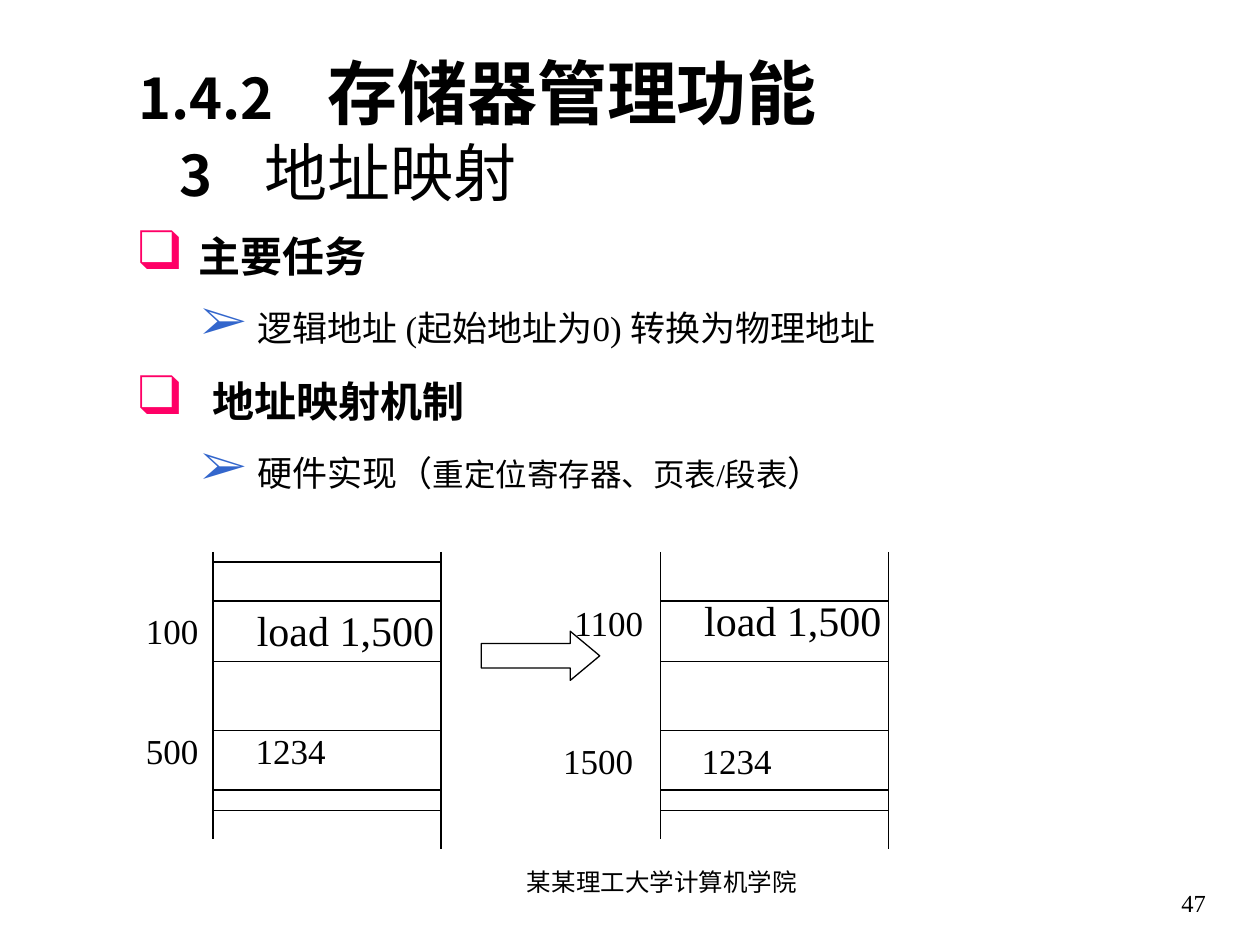
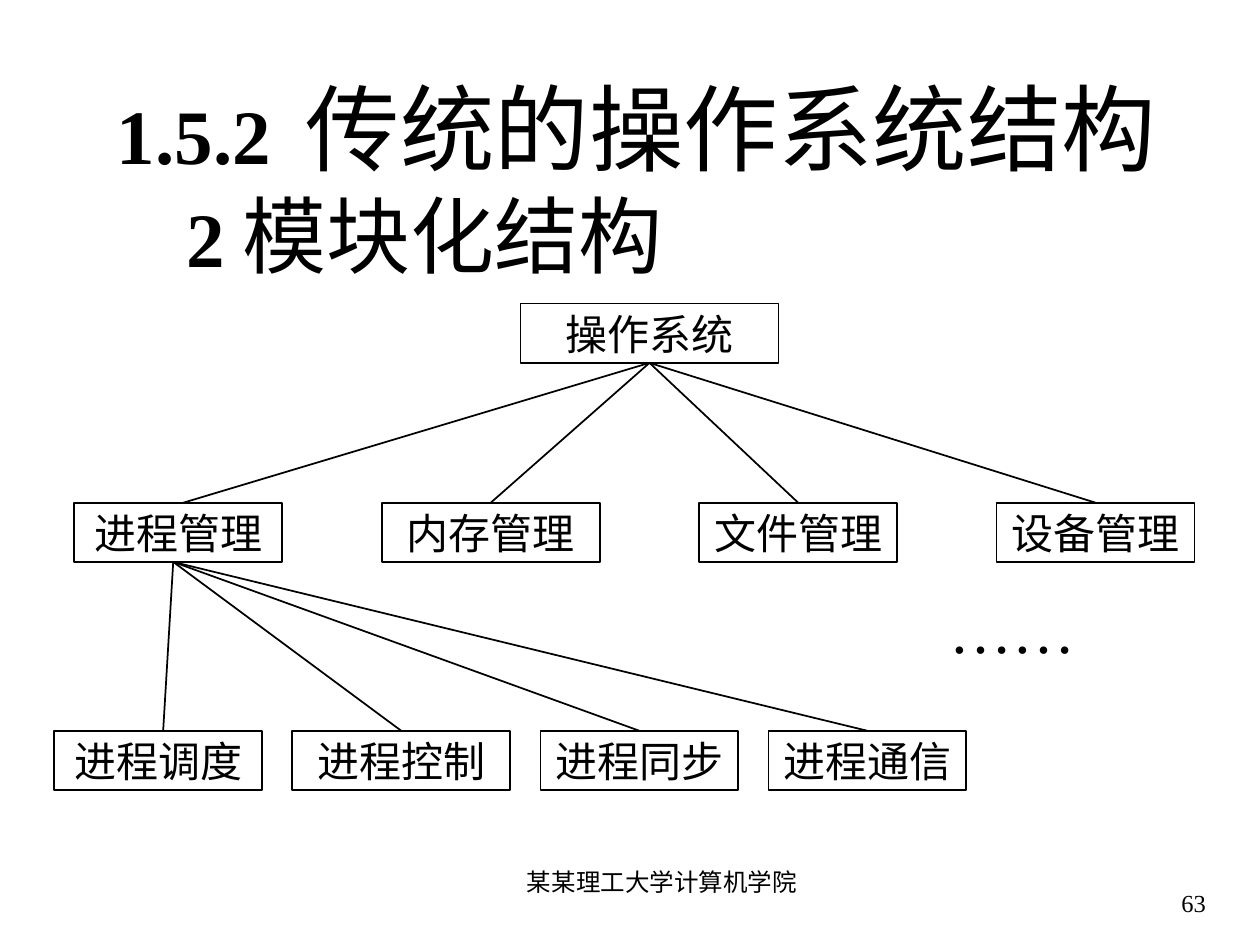
import pptx
import pptx.util
import pptx.dml.color
import pptx.enum.shapes
import pptx.enum.text
import pptx.oxml.ns
from lxml import etree

Inches = pptx.util.Inches
Pt = pptx.util.Pt
Shape = pptx.enum.shapes.MSO_SHAPE
Align = pptx.enum.text.PP_ALIGN
Anchor = pptx.enum.text.MSO_ANCHOR
qn = pptx.oxml.ns.qn

COLORS = {"ink": "000000", "box": "FF0066", "arrow": "3366CC"}
SERIF = "Times New Roman"
SANS = "Noto Sans CJK SC"
FOOTER = "某某理工大学计算机学院"


def color(name):
    return pptx.dml.color.RGBColor.from_string(COLORS[name])


def add_run(para, text, size, bold=False, font=SERIF, asian=SANS):
    run = para.add_run()
    run.text = text
    run.font.size = Pt(size)
    run.font.bold = bold
    run.font.name = font
    run.font.color.rgb = color("ink")
    props = run._r.get_or_add_rPr()
    latin = props.find(qn("a:latin"))
    east = etree.Element(qn("a:ea"), typeface=asian)
    latin.addnext(east)


def set_frame(frame, anchor, side, edge):
    frame.word_wrap = True
    frame.auto_size = pptx.enum.text.MSO_AUTO_SIZE.NONE
    frame.vertical_anchor = anchor
    frame.margin_left = frame.margin_right = Inches(side)
    frame.margin_top = frame.margin_bottom = Inches(edge)


def add_frame(slide, place, anchor=Anchor.TOP, edge=0.05):
    box = slide.shapes.add_textbox(*map(Inches, place))
    set_frame(box.text_frame, anchor, 0.1, edge)
    return box.text_frame


def add_label(slide, place, text, size, align=Align.LEFT,
              anchor=Anchor.TOP, edge=0, asian=SANS):
    para = add_frame(slide, place, anchor, edge).paragraphs[0]
    para.alignment = align
    add_run(para, text, size, asian=asian)


def next_para(frame, index):
    return frame.paragraphs[0] if index == 0 else frame.add_paragraph()


def set_indent(para, margin, first):
    props = para._p.get_or_add_pPr()
    props.set("marL", str(Inches(margin)))
    props.set("indent", str(Inches(first)))
    return props


def add_title(slide, place, anchor, rows, font):
    frame = add_frame(slide, place, anchor)
    for index, (first, stop, number, words) in enumerate(rows):
        para = next_para(frame, index)
        props = set_indent(para, 0, first)
        tabs = etree.SubElement(props, qn("a:tabLst"))
        etree.SubElement(tabs, qn("a:tab"), pos=str(Inches(stop)), algn="l")
        text, size = number
        add_run(para, text + "\t", size, True, font)
        add_run(para, *words, font=font)


def add_bullets(slide, place, items):
    frame = add_frame(slide, place)
    styles = [("❑", "box", 6, 32, 0), ("➢", "arrow", 5, 28, 0.5)]
    for index, (level, margin, runs) in enumerate(items):
        mark, tint, before, size, start = styles[level]
        para = next_para(frame, index)
        para.level = level
        para.space_before = Pt(before)
        props = set_indent(para, margin, start - margin)
        paint = etree.SubElement(props, qn("a:buClr"))
        etree.SubElement(paint, qn("a:srgbClr"), val=COLORS[tint])
        etree.SubElement(props, qn("a:buFont"), typeface=SERIF)
        etree.SubElement(props, qn("a:buChar"), char=mark)
        add_run(para, " ", size)
        for run in runs:
            add_run(para, *run)


def add_line(slide, start, end, width):
    line = slide.shapes.add_connector(
        pptx.enum.shapes.MSO_CONNECTOR.STRAIGHT, *map(Inches, start + end))
    line.line.color.rgb = color("ink")
    line.line.width = Pt(width)
    etree.SubElement(line._element.spPr, qn("a:effectLst"))
    return line


def add_shape(slide, kind, place, width):
    shape = slide.shapes.add_shape(kind, *map(Inches, place))
    shape.shadow.inherit = False
    shape.fill.background()
    shape.line.color.rgb = color("ink")
    shape.line.width = Pt(width)
    return shape


def add_node(slide, left, top, width, text):
    node = add_shape(slide, Shape.RECTANGLE, (left, top, width, 0.47), 1)
    set_frame(node.text_frame, Anchor.MIDDLE, 0.02, 0)
    para = node.text_frame.paragraphs[0]
    para.alignment = Align.CENTER
    add_run(para, text, 24)
    return node


def link(slide, upper, lower, leave=0, enter=0):
    start = ((upper.left + upper.width / 2) / Inches(1) + leave,
             (upper.top + upper.height) / Inches(1))
    end = ((lower.left + lower.width / 2) / Inches(1) + enter,
           lower.top / Inches(1))
    line = add_line(slide, start, end, 1)
    if not leave:
        line.begin_connect(upper, 2)
    if not enter:
        line.end_connect(lower, 0)


def add_memory(slide, left, rows):
    right = left + 1.81
    add_line(slide, (left, 4.38), (left, 6.66), 0.75)
    add_line(slide, (right, 4.38), (right, 6.74), 0.75)
    for y in rows:
        add_line(slide, (left, y), (right, y), 0.75)


def new_slide(deck, number):
    slide = deck.slides.add_slide(deck.slide_layouts[6])
    add_label(slide, (8.67, 6.83, 1, 0.5), number, 14,
              Align.RIGHT, Anchor.BOTTOM, 0.05)
    add_label(slide, (3.67, 6.83, 3.17, 0.5), FOOTER, 14,
              Align.CENTER, edge=0.05)
    return slide


def map_slide(deck):
    slide = new_slide(deck, "47")
    add_title(slide, (1, 0.92, 8.57, 0.79), Anchor.BOTTOM, [
        (0, 1.28, ("1.4.2", 32), ("存储器管理功能", 40, True)),
        (0.33, 0.81, ("3", 32), ("地址映射", 36))], SANS)
    add_bullets(slide, (1, 1.67, 8.33, 2.4), [
        (0, 0.38, [("主要任务", 24, True)]),
        (1, 0.81, [("逻辑地址 (起始地址为0) 转换为物理地址", 20)]),
        (0, 0.49, [("地址映射机制", 24, True)]),
        (1, 0.81, [("硬件实现（", 20), ("重定位寄存器、页表/段表", 18),
                   ("）", 20)])])
    rows = [4.77, 5.25, 5.8, 6.27, 6.43]
    add_memory(slide, 1.69, [4.46] + rows)
    add_memory(slide, 5.24, rows)
    arrow = add_shape(slide, Shape.RIGHT_ARROW, (3.82, 5.01, 0.94, 0.39), 0.75)
    arrow.adjustments[0] = 0.5
    arrow.adjustments[1] = 0.6
    for left, top, width, text in [
            (1.06, 4.84, 0.69, "100"), (1.06, 5.79, 0.69, "500"),
            (1.93, 5.79, 0.94, "1234"), (4.46, 4.77, 0.85, "1100"),
            (4.37, 5.87, 0.85, "1500"), (5.47, 5.87, 0.94, "1234")]:
        add_label(slide, (left, top, width, 0.33), text, 20)
    for left, top in [(1.94, 4.8), (5.49, 4.72)]:
        add_label(slide, (left, top, 1.7, 0.37), "load 1,500", 24)


def tree_slide(deck):
    slide = new_slide(deck, "63")
    add_title(slide, (0.83, 1.03, 8.9, 0.75), Anchor.MIDDLE, [
        (0, 1.64, ("1.5.2", 44), ("传统的操作系统结构", 54)),
        (0.55, 1.32, ("2", 44), ("模块化结构", 48))], SERIF)
    root = add_node(slide, 4.13, 2.41, 2.05, "操作系统")
    parts = [add_node(slide, left, 3.99, width, text) for left, width, text in [
        (0.59, 1.65, "进程管理"), (3.03, 1.73, "内存管理"),
        (5.55, 1.57, "文件管理"), (7.91, 1.57, "设备管理")]]
    tasks = [add_node(slide, left, 5.8, width, text) for left, width, text in [
        (0.43, 1.65, "进程调度"), (2.32, 1.73, "进程控制"),
        (4.29, 1.57, "进程同步"), (6.1, 1.57, "进程通信")]]
    for part, task, shift in zip(parts, tasks, [0.04, 0, 0, 0]):
        link(slide, root, part, enter=shift)
        link(slide, parts[0], task, leave=-0.04, enter=shift)
    add_label(slide, (7.44, 4.69, 1.26, 0.6), "……", 36,
              anchor=Anchor.MIDDLE, asian=SERIF)


def main():
    deck = pptx.Presentation()
    deck.slide_width = Inches(10)
    deck.slide_height = Inches(7.5)
    map_slide(deck)
    tree_slide(deck)
    deck.save("out.pptx")


if __name__ == "__main__":
    main()
